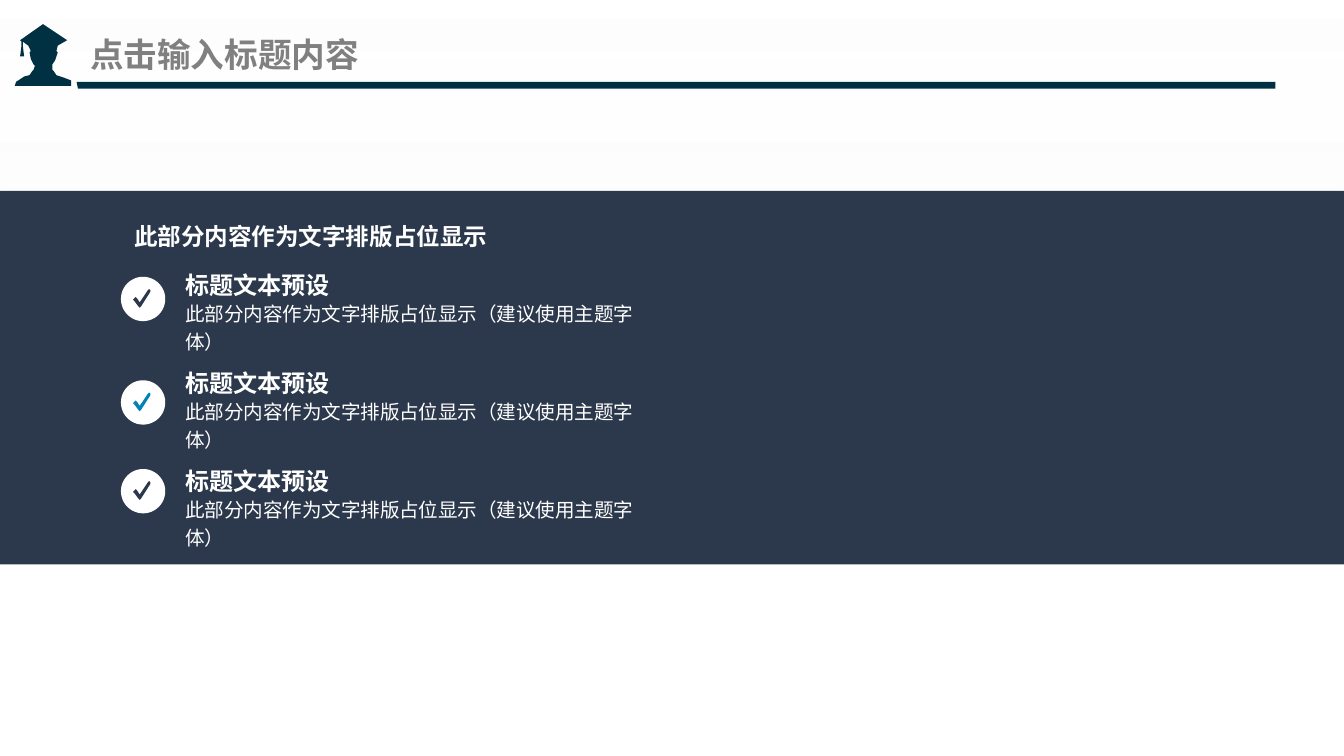
from pptx import Presentation
from pptx.dml.color import RGBColor
from pptx.enum.shapes import MSO_SHAPE
from pptx.enum.text import MSO_ANCHOR
from pptx.oxml.ns import qn
from pptx.util import Inches, Pt
from lxml import etree

RECT, OVAL = MSO_SHAPE.RECTANGLE, MSO_SHAPE.OVAL
TOP, MIDDLE = MSO_ANCHOR.TOP, MSO_ANCHOR.MIDDLE
CJK = "Noto Sans CJK SC"
WIDTH = 10
HEIGHT = WIDTH * 9 / 16
WHITE, NAVY, TEAL, BLUE, GRAY = "FFFFFF", "2C394C", "003142", "0083B4", "808080"

TITLE = "点击输入标题内容"
HEADING = "此部分内容作为文字排版占位显示"
ITEM = "标题文本预设"
DETAIL = "此部分内容作为文字排版占位显示（建议使用主题字体）"
ITEMS = [
    (ITEM, DETAIL, NAVY, 0.03),
    (ITEM, DETAIL, BLUE, 0.07),
    (ITEM, DETAIL, NAVY, 0),
]
FIRST_ROW, ROW_STEP = 2.03, 0.73
ICON_LEFT, ICON_SIZE, TEXT_LEFT, TEXT_WIDTH = 0.9, 0.33, 1.22, 3.89

# Outline points are hundredths of an inch.
RULE = [(57, 61), (949, 61), (949, 66), (58, 66)]
GRADUATE = [
    (53, 60), (48, 58), (42, 56), (40, 53), (39, 52), (39, 48), (41, 45),
    (43, 39), (42, 38), (43, 34), (50, 30), (32, 18), (15, 30), (16, 31),
    (16, 34), (15, 42), (18, 42), (17, 34), (17, 31), (21, 34), (23, 38),
    (22, 39), (23, 44), (25, 48), (26, 49), (25, 52), (24, 53), (22, 56),
    (18, 57), (12, 61), (11, 64), (53, 64),
]
CHECK = [
    (14, 23), (13, 22), (10, 18), (9, 17), (10, 16), (11, 15), (12, 16),
    (14, 19), (20, 10), (21, 9), (22, 10), (22, 11), (15, 22),
]


def rgb(color):
    return RGBColor.from_string(color)


def paint(s, color):
    s.shadow.inherit = False
    s.fill.solid()
    s.fill.fore_color.rgb = rgb(color)
    s.line.fill.background()
    return s


def add_preset(kind, x, y, w, h, color):
    s = slide.shapes.add_shape(kind, Inches(x), Inches(y), Inches(w), Inches(h))
    return paint(s, color)


def add_outline(points, color, x=0, y=0):
    builder = slide.shapes.build_freeform(*points[0], scale=Inches(0.01))
    builder.add_line_segments(points[1:], close=True)
    return paint(builder.convert_to_shape(Inches(x), Inches(y)), color)


def add_text(text, x, y, w, h, size, color=WHITE, font="Arial", bold=False,
             anchor=TOP, inset=(0.1, 0.05), wrap=True, spacing=None):
    tf = slide.shapes.add_textbox(Inches(x), Inches(y), Inches(w), Inches(h)).text_frame
    tf.word_wrap = wrap
    tf.vertical_anchor = anchor
    tf.margin_left = tf.margin_right = Inches(inset[0])
    tf.margin_top = tf.margin_bottom = Inches(inset[1])
    p = tf.paragraphs[0]
    if spacing:
        p.line_spacing = spacing
    r = p.add_run()
    r.text = text
    r.font.name = font
    r.font.size = Pt(size)
    r.font.bold = bold
    r.font.color.rgb = rgb(color)
    etree.SubElement(r.font._element, qn("a:ea"), typeface=CJK)


def add_backdrop():
    s = add_preset(RECT, 0, 0, WIDTH, HEIGHT, WHITE)
    s.fill.gradient()
    s.fill.gradient_angle = 270
    stops = [(0, WHITE, 55), (0.71, "F2F2F2", 0)]
    for stop, (position, color, _) in zip(s.fill.gradient_stops, stops):
        stop.position = position
        stop.color.rgb = rgb(color)
    for node, (_, _, alpha) in zip(s._element.spPr.iter(qn("a:srgbClr")), stops):
        etree.SubElement(node, qn("a:alpha"), val=str(alpha * 1000))


prs = Presentation()
prs.slide_width, prs.slide_height = Inches(WIDTH), Inches(HEIGHT)
slide = prs.slides.add_slide(prs.slide_layouts[6])

add_backdrop()
add_outline(RULE, TEAL)
add_text(TITLE, 0.67, 0.19, 2.33, 0.42, 18, color=GRAY, font=CJK, bold=True,
         anchor=MIDDLE, inset=(0, 0.05))
add_outline(GRADUATE, TEAL)
add_preset(RECT, 0, 1.42, WIDTH, 2.78, NAVY)
add_text(HEADING, ICON_LEFT, 1.6, 3.13, 0.32, 12.6, bold=True)

for row, (name, detail, color, icon_drop) in enumerate(ITEMS):
    top = FIRST_ROW + row * ROW_STEP
    icon_top = top + icon_drop
    add_preset(OVAL, ICON_LEFT, icon_top, ICON_SIZE, ICON_SIZE, WHITE)
    add_outline(CHECK, color, ICON_LEFT, icon_top)
    add_text(name, TEXT_LEFT, top, TEXT_WIDTH, 0.18, 12.9, bold=True,
             anchor=MIDDLE, inset=(0.16, 0), wrap=False)
    add_text(detail, TEXT_LEFT, top + 0.18, TEXT_WIDTH, 0.4, 10.5,
             inset=(0.16, 0), spacing=1.2)

prs.save("out.pptx")
